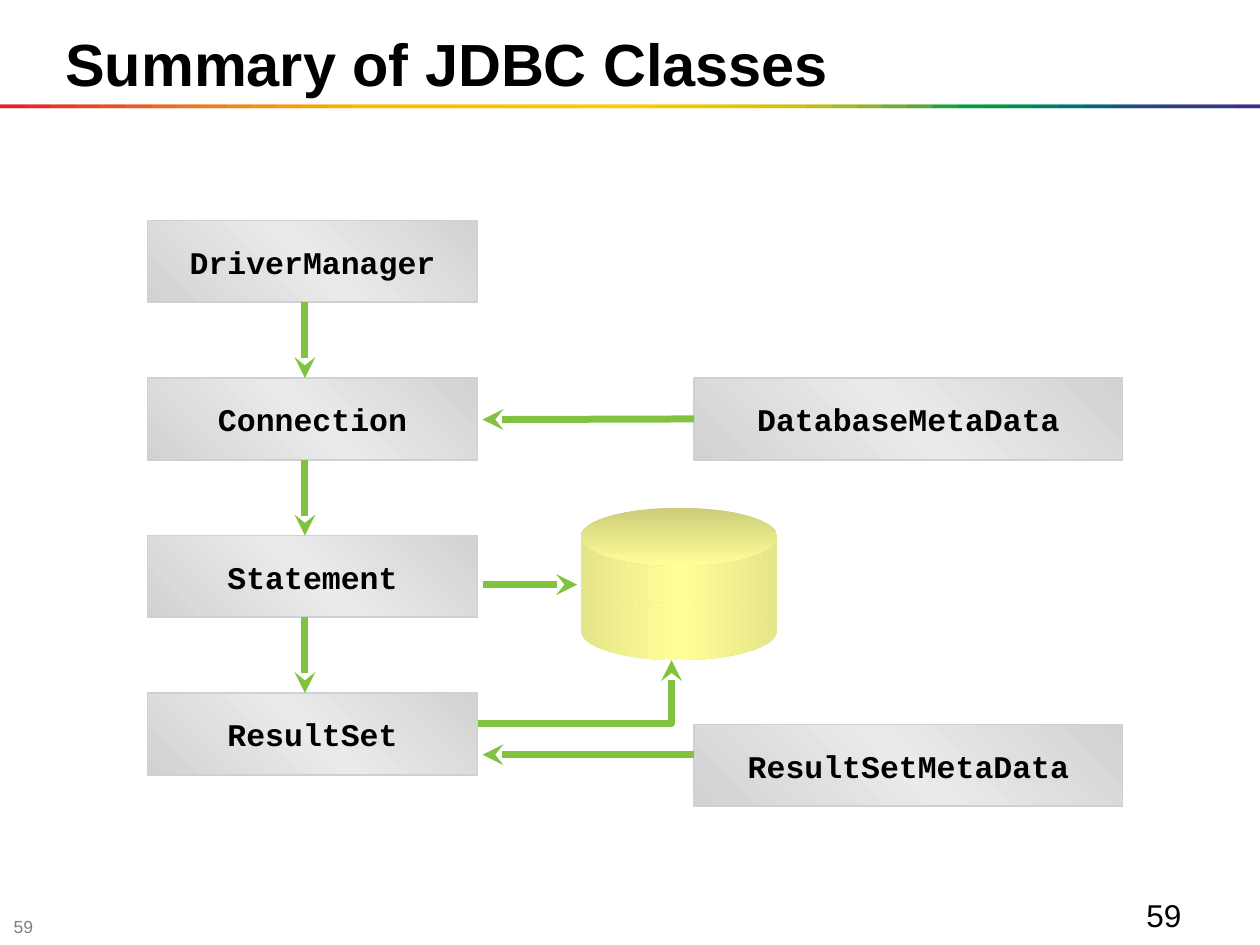
from lxml import etree
from pptx import Presentation
from pptx.dml.color import RGBColor
from pptx.enum.shapes import MSO_CONNECTOR as CONNECTOR, MSO_SHAPE as SHAPE
from pptx.enum.text import MSO_ANCHOR as ANCHOR, PP_ALIGN as ALIGN
from pptx.oxml.ns import qn
from pptx.util import Inches, Pt

# Content
TITLE = "Summary of JDBC Classes"
PAGE = "59"
MAIN_CLASSES = ["DriverManager", "Connection", "Statement", "ResultSet"]
METADATA_CLASSES = [("DatabaseMetaData", 3.0), ("ResultSetMetaData", 5.75)]  # name, top

COLORS = {"text": "000000", "footer": "7F7F7F", "arrow": "81C240", "border": "CFD0D7"}
GRAY = ["D2D2D2", "EAEAEA", "D2D2D2"]
YELLOW_SIDE = ["E5E589", "FFFF99", "E5E589"]
YELLOW_TOP = ["CCCC7A", "FFFF99"]
RAINBOW = """
E31E24 E31E24 E42C24 E53A24 E74623 E85122 EA5D21 EC691F EE741D EF7E1A F18817 F39314 F49C0F
F6A607 F8B002 FBBA00 FBBB00 FBBD00 FCBF00 FCC000 FCC200 FDC400 FDC600 FDC700 FEC900 FECB00
FBCB00 F3CA00 ECC800 E4C602 DCC50A D5C30E CCC117 B8BC21 A3B829 8CB230 71AD36 51A73B 1DA240
009D43 009846 008C57 008068 007275 00637F 185384 2E4285 313E85 333B85 353885 393185
""".split()

# Layout, in inches
SLIDE_W, SLIDE_H = 10, 7.5
STRIP = 0.2
BOX_H = 0.65
MAIN_LEFT, MAIN_TOP, MAIN_W, MAIN_STEP = 1.17, 1.75, 2.62, 1.25
META_LEFT, META_W = 5.51, 3.4
ARROW_X, ARROW_RIGHT = 2.42, 3.83
DRUM_LEFT, DRUM_W, LID_H = 4.61, 1.56, 0.46

presentation = Presentation()
presentation.slide_width, presentation.slide_height = Inches(SLIDE_W), Inches(SLIDE_H)
slide = presentation.slides.add_slide(presentation.slide_layouts[6])


def add_shape(kind, left, top, width, height):
    shape = slide.shapes.add_shape(kind, *map(Inches, (left, top, width, height)))
    shape.shadow.inherit = False
    shape.line.fill.background()
    return shape


def fill_gradient(shape, colors, angle):
    """Spread the colours evenly; the angle runs counter-clockwise."""
    shape.fill.gradient()
    shape.fill.gradient_angle = angle
    stops = shape.element.spPr.find(qn("a:gradFill")).find(qn("a:gsLst"))
    for stop in list(stops):
        stops.remove(stop)
    for index, color in enumerate(colors):
        position = str(100000 * index // (len(colors) - 1))
        stop = etree.SubElement(stops, qn("a:gs"), pos=position)
        etree.SubElement(stop, qn("a:srgbClr"), val=color)


def write(shape, text, font, size, color, bold=False, align=ALIGN.LEFT,
          anchor=ANCHOR.MIDDLE, wrap=True):
    frame = shape.text_frame
    frame.word_wrap = wrap
    frame.vertical_anchor = anchor
    paragraph = frame.paragraphs[0]
    paragraph.alignment = align
    run = paragraph.add_run()
    run.text = text
    run.font.name, run.font.size, run.font.bold = font, Pt(size), bold
    run.font.color.rgb = RGBColor.from_string(color)


def add_text(left, top, width, height, text, size, color, **options):
    box = slide.shapes.add_textbox(*map(Inches, (left, top, width, height)))
    write(box, text, "Arial", size, color, **options)


def add_class_box(name, left, top, width):
    box = add_shape(SHAPE.RECTANGLE, left, top, width, BOX_H)
    fill_gradient(box, GRAY, 45)
    box.line.color.rgb = RGBColor.from_string(COLORS["border"])
    box.line.width = Pt(1)
    write(box, name, "Courier New", 18, COLORS["text"], bold=True,
          align=ALIGN.CENTER, wrap=False)
    return box


def style_arrow(line):
    line.color.rgb = RGBColor.from_string(COLORS["arrow"])
    line.width = Pt(4)
    etree.SubElement(line.color and line._get_or_add_ln(), qn("a:tailEnd"), type="stealth")


def add_arrow(x1, y1, x2, y2):
    arrow = slide.shapes.add_connector(CONNECTOR.STRAIGHT, *map(Inches, (x1, y1, x2, y2)))
    style_arrow(arrow.line)
    etree.SubElement(arrow._element.spPr, qn("a:effectLst"))
    return arrow


# Rainbow rule: each strip overlaps the one before it
for index, color in enumerate(RAINBOW):
    left = max(0, (index - 1) * STRIP)
    right = min(SLIDE_W, (index + 1) * STRIP)
    strip = add_shape(SHAPE.RECTANGLE, left, 0.83, right - left, 0.03)
    strip.fill.solid()
    strip.fill.fore_color.rgb = RGBColor.from_string(color)

# Title and page numbers
add_text(0.42, 0, 9.58, 1, TITLE, 34, COLORS["text"], bold=True)
add_text(0.01, 7.27, 0.39, 0.16, PAGE, 10, COLORS["footer"])
add_text(9, 7.06, 0.96, 0.35, PAGE, 18, COLORS["text"], anchor=ANCHOR.TOP)

# Database drum
for kind, top, height, colors, angle in [
    (SHAPE.RECTANGLE, 4.28, 0.72, YELLOW_SIDE, 0),
    (SHAPE.OVAL, 4.03, LID_H, YELLOW_TOP, 270),
    (SHAPE.OVAL, 4.78, LID_H, YELLOW_SIDE, 0),
]:
    fill_gradient(add_shape(kind, DRUM_LEFT, top, DRUM_W, height), colors, angle)

# Main classes, each with an arrow from the one above
for index, name in enumerate(MAIN_CLASSES):
    top = MAIN_TOP + index * MAIN_STEP
    add_class_box(name, MAIN_LEFT, top, MAIN_W)
    if index:
        add_arrow(ARROW_X, top - MAIN_STEP + BOX_H, ARROW_X, top)

# Metadata classes, with arrows back to the main column
database_box, result_box = [
    add_class_box(name, META_LEFT, top, META_W) for name, top in METADATA_CLASSES
]
add_arrow(META_LEFT, 3.33, ARROW_RIGHT, 3.33).begin_connect(database_box, 1)
add_arrow(META_LEFT, 5.99, ARROW_RIGHT, 5.99)

# Arrows to the database
add_arrow(ARROW_RIGHT, 4.64, 4.58, 4.64)
builder = slide.shapes.build_freeform(Inches(MAIN_LEFT + MAIN_W), Inches(5.74))
builder.add_line_segments(
    [(Inches(5.33), Inches(5.74)), (Inches(5.33), Inches(5.24))], close=False)
elbow = builder.convert_to_shape()
elbow.shadow.inherit = False
elbow.fill.background()
style_arrow(elbow.line)

presentation.save("out.pptx")
